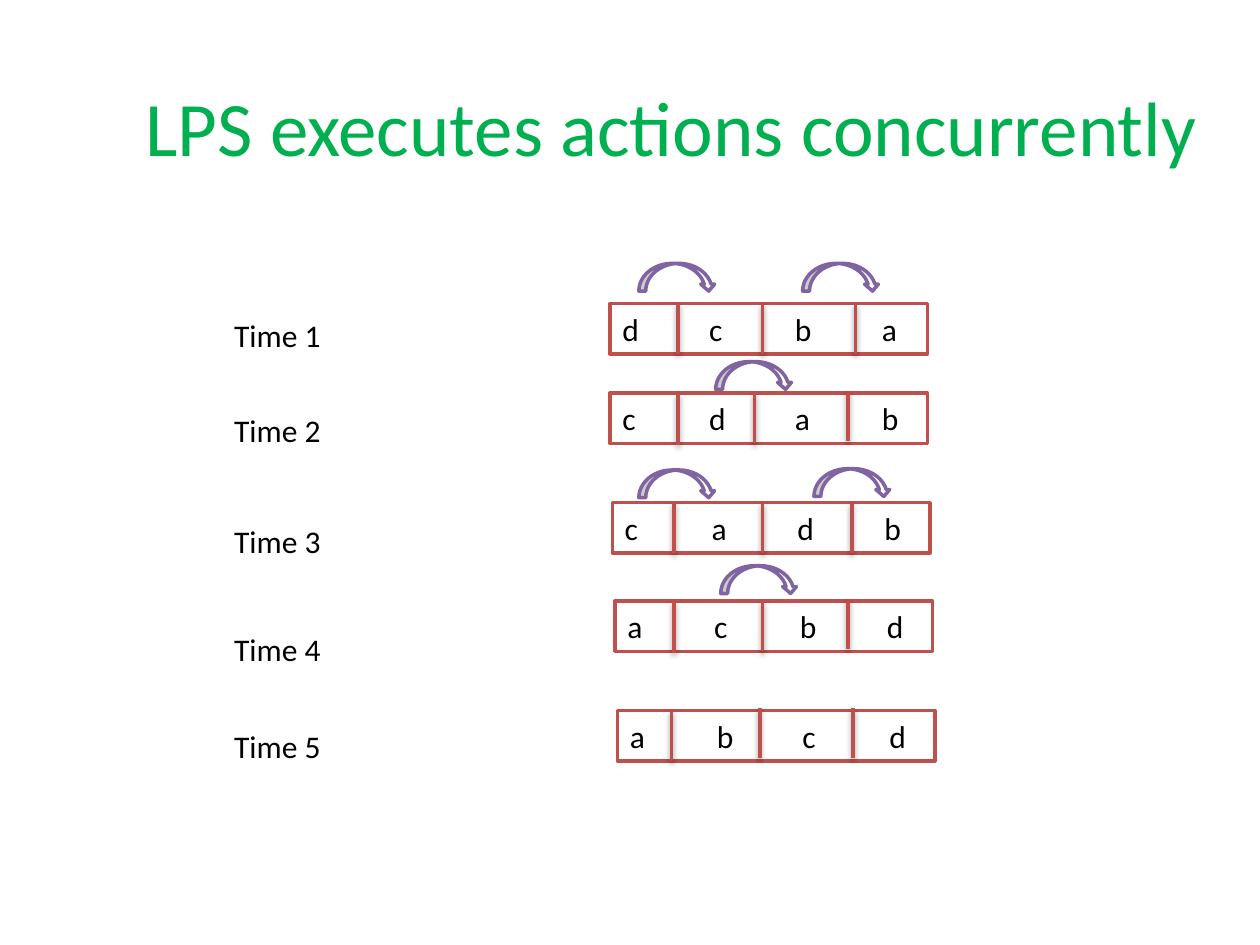
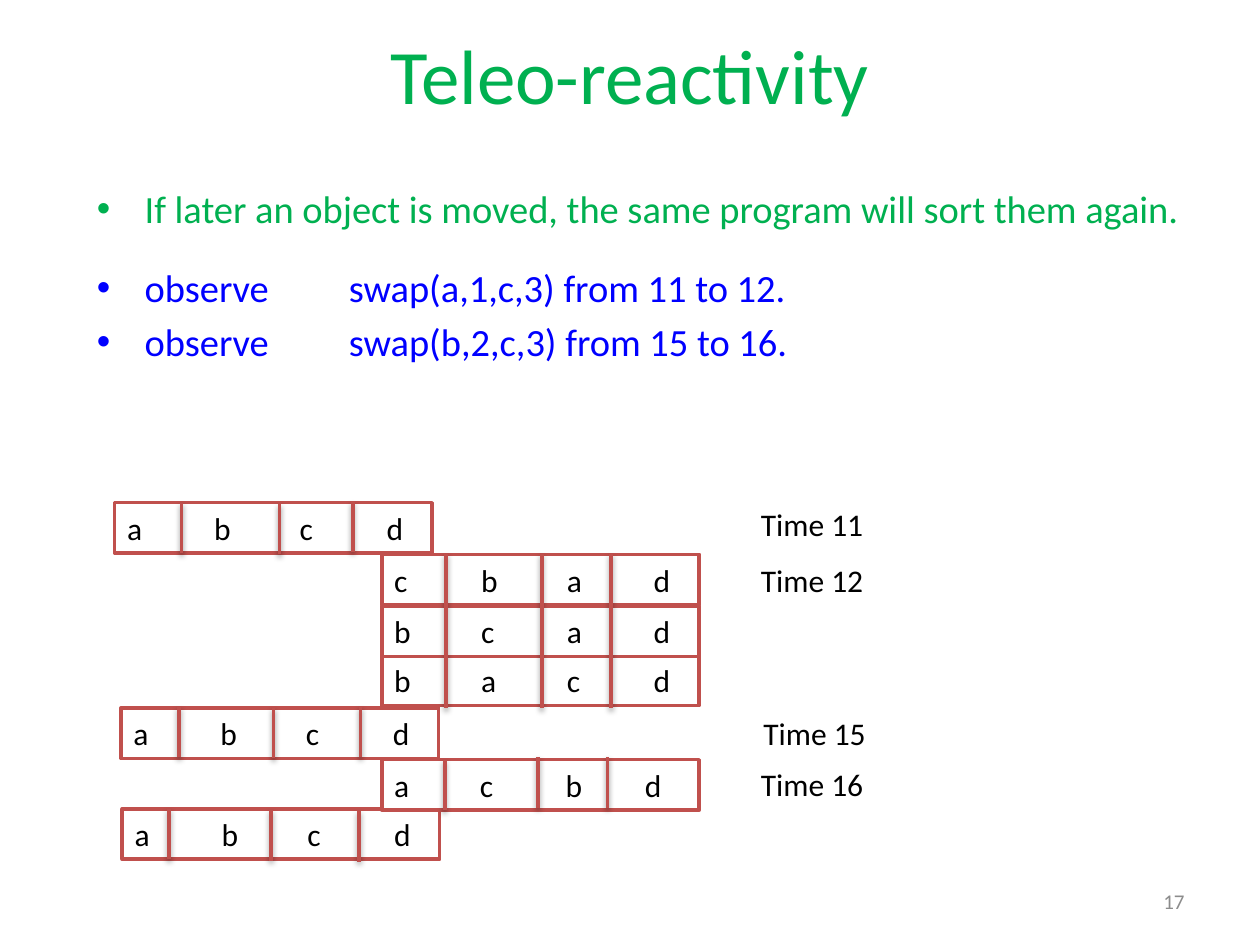
from lxml import etree
from pptx import Presentation
from pptx.dml.color import RGBColor
from pptx.enum.shapes import MSO_CONNECTOR, MSO_SHAPE
from pptx.enum.text import MSO_ANCHOR, PP_ALIGN
from pptx.oxml.ns import qn
from pptx.util import Inches, Pt

RECT, ARC = MSO_SHAPE.RECTANGLE, MSO_SHAPE.CURVED_DOWN_ARROW
STRAIGHT = MSO_CONNECTOR.STRAIGHT
LEFT, CENTER, RIGHT = PP_ALIGN.LEFT, PP_ALIGN.CENTER, PP_ALIGN.RIGHT
TOP, MIDDLE = MSO_ANCHOR.TOP, MSO_ANCHOR.MIDDLE

FONT = "Calibri"
COLORS = {"heading": "00B050", "code": "0000FF", "text": "000000",
          "cell": "FFFFFF", "border": "C0504D", "swap": "8064A2",
          "number": "8C8C8C"}
ROW_W, ROW_H = 2.52, 0.4
ARC_W, ARC_H = 0.61, 0.22
LABEL_W, LABEL_H = 1.65, 0.41
LETTER_STOPS = (0.69, 1.37, 2.06)
TIGHT_STOPS = (0.68, 1.36, 1.99)

CONCURRENT = {
    "title": ("LPS executes actions concurrently", 0.83, 0.37),
    "rows": [
        (4.84, 2.41, "dcba", LETTER_STOPS),
        (4.84, 3.12, "cdab", LETTER_STOPS),
        (4.86, 3.99, "cadb", LETTER_STOPS),
        (4.88, 4.77, "acbd", LETTER_STOPS),
        (4.90, 5.64, "abcd", LETTER_STOPS),
    ],
    "dividers": [
        (ROW_H, [(5.38, 2.41), (6.05, 2.41), (6.79, 2.41),
                 (5.38, 3.13), (5.99, 3.12), (6.73, 3.10),
                 (5.35, 3.99), (6.05, 3.99), (6.76, 3.99),
                 (5.35, 4.78), (6.05, 4.77), (6.73, 4.75),
                 (5.33, 5.64), (6.03, 5.62), (6.77, 5.62)]),
    ],
    "swaps": [(5.07, 2.09), (6.37, 2.09), (5.68, 2.87),
              (5.07, 3.73), (6.46, 3.72), (5.72, 4.49)],
    "times": [("Time 1", 1.76, 2.46), ("Time 2", 1.76, 3.21),
              ("Time 3", 1.76, 4.09), ("Time 4", 1.76, 4.95),
              ("Time 5", 1.76, 5.72)],
}
REACTIVE = {
    "title": ("Teleo-reactivity", 0.5, -0.04),
    "rows": [
        (0.91, 3.99, "abcd", LETTER_STOPS),
        (3.03, 4.40, "cbad", LETTER_STOPS),
        (3.03, 5.20, "bacd", LETTER_STOPS),
        (0.96, 5.62, "abcd", LETTER_STOPS),
        (3.03, 4.81, "bcad", LETTER_STOPS),
        (0.97, 6.42, "abcd", LETTER_STOPS),
        (3.03, 6.03, "acbd", TIGHT_STOPS),
    ],
    "dividers": [
        (1.22, [(3.54, 4.40), (4.30, 4.40), (4.85, 4.40)]),
        (ROW_H, [(1.44, 3.99), (2.22, 4.00), (2.80, 3.98),
                 (1.42, 5.61), (2.17, 5.62), (2.86, 5.61),
                 (1.34, 6.42), (2.15, 6.43), (2.85, 6.44),
                 (3.53, 6.03), (4.27, 6.01), (4.82, 6.01)]),
    ],
    "swaps": [],
    "times": [("Time 11", 5.94, 3.96), ("Time 12", 5.94, 4.40),
              ("Time 15", 5.96, 5.62), ("Time 16", 5.94, 6.02)],
}
BULLETS = [
    ("If later an object is moved, the same program will sort them again.", "heading", 4.4),
    ("observe\t\tswap(a,1,c,3) from 11 to 12.", "code", 18.6),
    ("observe\t\tswap(b,2,c,3) from 15 to 16.", "code", 4.4),
]
PAGE_NUMBER = "17"


def rgb(name):
    return RGBColor.from_string(COLORS[name])


def write(paragraph, text, size=18, color="text", align=LEFT, before=0,
          bullet=False, stops=()):
    paragraph.alignment = align
    paragraph.space_before = Pt(before)
    run = paragraph.add_run()
    run.text = text
    run.font.name, run.font.size = FONT, Pt(size)
    run.font.color.rgb = rgb(color)
    properties = paragraph._p.get_or_add_pPr()
    if bullet:
        properties.set("marL", str(Inches(0.38)))
        properties.set("indent", str(Inches(-0.38)))
        etree.SubElement(properties, qn("a:buFont"), typeface="Arial")
        etree.SubElement(properties, qn("a:buChar"), char="•")
    if stops:
        tabs = etree.SubElement(properties, qn("a:tabLst"))
        for stop in stops:
            etree.SubElement(tabs, qn("a:tab"), pos=str(Inches(stop)), algn="l")


def add_frame(slide, left, top, width, height, anchor=TOP):
    frame = slide.shapes.add_textbox(*map(Inches, (left, top, width, height))).text_frame
    frame.word_wrap = True
    frame.vertical_anchor = anchor
    return frame


def add_outlined(slide, preset, left, top, width, height, border):
    outlined = slide.shapes.add_shape(preset, *map(Inches, (left, top, width, height)))
    outlined.shadow.inherit = False
    outlined.fill.solid()
    outlined.fill.fore_color.rgb = rgb("cell")
    outlined.line.color.rgb = rgb(border)
    outlined.line.width = Pt(2)
    return outlined


def add_row(slide, left, top, letters, stops):
    frame = add_outlined(slide, RECT, left, top, ROW_W, ROW_H, "border").text_frame
    frame.word_wrap = True
    frame.vertical_anchor = TOP
    write(frame.paragraphs[0], "\t".join(letters), stops=stops)


def add_divider(slide, x, top, height):
    divider = slide.shapes.add_connector(STRAIGHT, *map(Inches, (x, top, x, top + height)))
    divider.line.color.rgb = rgb("border")
    divider.line.width = Pt(2)
    effects = etree.SubElement(divider._element.spPr, qn("a:effectLst"))
    shadow = etree.SubElement(effects, qn("a:outerShdw"), blurRad=str(Pt(3.1)),
                              dist=str(Pt(1.6)), dir="5400000", rotWithShape="0")
    tint = etree.SubElement(shadow, qn("a:srgbClr"), val=COLORS["text"])
    etree.SubElement(tint, qn("a:alpha"), val="38000")


def build_slide(deck, content):
    slide = deck.slides.add_slide(deck.slide_layouts[6])
    heading, left, top = content["title"]
    write(add_frame(slide, left, top, 9, 1.25, MIDDLE).paragraphs[0], heading,
          size=44, color="heading", align=CENTER)
    for row in content["rows"]:
        add_row(slide, *row)
    for height, places in content["dividers"]:
        for x, top in places:
            add_divider(slide, x, top, height)
    for left, top in content["swaps"]:
        add_outlined(slide, ARC, left, top, ARC_W, ARC_H, "swap")
    for label, left, top in content["times"]:
        write(add_frame(slide, left, top, LABEL_W, LABEL_H).paragraphs[0], label)
    return slide


deck = Presentation()
deck.slide_width, deck.slide_height = Inches(10), Inches(7.5)
build_slide(deck, CONCURRENT)
reactive = build_slide(deck, REACTIVE)

body = add_frame(reactive, 0.67, 1.42, 9, 2.4)
for index, (sentence, color, before) in enumerate(BULLETS):
    paragraph = body.add_paragraph() if index else body.paragraphs[0]
    write(paragraph, sentence, size=22, color=color, before=before, bullet=True)
write(add_frame(reactive, 7.17, 6.95, 2.33, 0.4, MIDDLE).paragraphs[0],
      PAGE_NUMBER, size=12, color="number", align=RIGHT)

deck.save("out.pptx")
